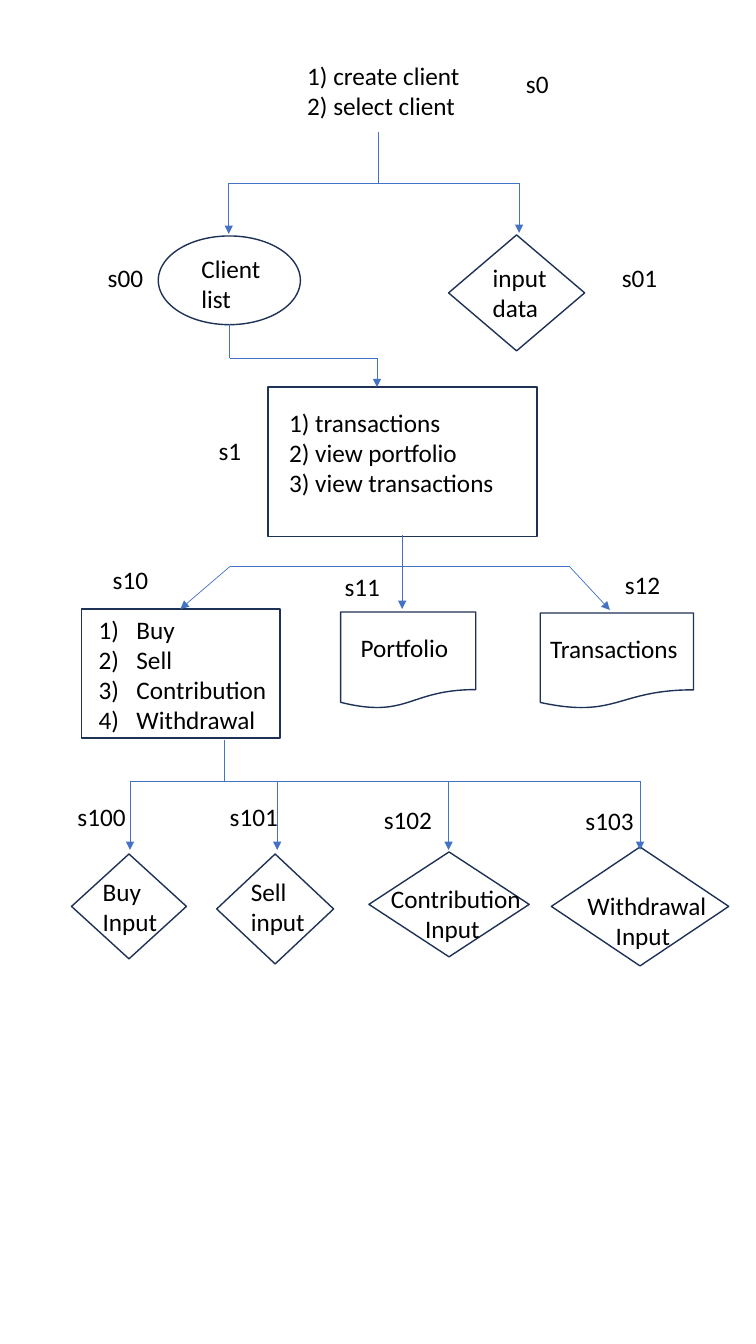
from dataclasses import dataclass

from lxml.etree import SubElement
from pptx import Presentation
from pptx.dml.color import RGBColor
from pptx.enum.shapes import MSO_CONNECTOR as Connector, MSO_SHAPE as Preset
from pptx.enum.text import MSO_AUTO_SIZE as AutoSize
from pptx.oxml.ns import qn
from pptx.slide import Slide
from pptx.util import Inches, Pt

COLUMNS, ROWS = 75, 133.3
CELL = Inches(0.1)
LIST_INDENT = 3.75


@dataclass(frozen=True)
class Theme:
    font: str = "Calibri"
    size: Pt = Pt(18)
    ink: RGBColor = RGBColor(0x00, 0x00, 0x00)
    paper: RGBColor = RGBColor(0xFF, 0xFF, 0xFF)
    outline: RGBColor = RGBColor(0x1E, 0x32, 0x56)
    arrow: RGBColor = RGBColor(0x44, 0x72, 0xC4)
    outline_width: Pt = Pt(1)
    arrow_width: Pt = Pt(0.5)


@dataclass(frozen=True)
class Node:
    preset: Preset
    column: float
    row: float
    width: float
    height: float


@dataclass(frozen=True)
class Caption:
    text: str
    column: float
    row: float
    width: float
    numbered: bool = False
    last_indent: float = 0


@dataclass(frozen=True)
class StateLabel:
    text: str
    column: float
    row: float


@dataclass(frozen=True)
class Drop:
    column: float
    tip_column: float
    tip_row: float


@dataclass(frozen=True)
class Fan:
    stem_column: float
    stem_row: float
    bus_row: float
    drops: tuple[Drop, ...]


THEME = Theme()

NODES = (
    Node(Preset.OVAL, 15.7, 23.4, 14.1, 8.8),
    Node(Preset.FLOWCHART_DECISION, 44.5, 23.3, 13.5, 11.5),
    Node(Preset.RECTANGLE, 26.6, 38.4, 26.7, 14.8),
    Node(Preset.RECTANGLE, 8.1, 60.4, 19.7, 12.8),
    Node(Preset.FLOWCHART_DOCUMENT, 33.8, 60.7, 13.4, 9.6),
    Node(Preset.FLOWCHART_DOCUMENT, 53.6, 60.8, 15.2, 9.5),
    Node(Preset.FLOWCHART_DECISION, 7.1, 84.7, 11.4, 10.4),
    Node(Preset.FLOWCHART_DECISION, 21.5, 84.7, 11.6, 10.9),
    Node(Preset.FLOWCHART_DECISION, 36.6, 84.5, 15.9, 10.4),
    Node(Preset.FLOWCHART_DECISION, 54.7, 84, 17.6, 11.8),
)

FANS = (
    Fan(37.5, 13.1, 18.2, (Drop(22.7, 22.7, 23.2), Drop(51.5, 51.5, 23.1))),
    Fan(22.8, 32.1, 35.5, (Drop(37.4, 37.4, 38.4),)),
    Fan(39.9, 53.1, 56.2, (
        Drop(22.8, 17.9, 60.4),
        Drop(39.9, 39.9, 60.4),
        Drop(56.5, 60.5, 60.5),
    )),
    Fan(22.3, 73.4, 77.5, tuple(
        Drop(column, column, 84.3) for column in (12.9, 27.5, 44.5, 63.5)
    )),
)

CAPTIONS = (
    Caption("1) create client\n2) select client", 29.5, 5.5, 17.7),
    Caption("Client\nlist", 19, 24.6, 12.4),
    Caption("input\ndata", 47.9, 25.5, 8.4),
    Caption("1) transactions\n2) view portfolio\n3) view transactions",
            27.7, 39.9, 28.9),
    Caption("Buy\nSell\nContribution\nWithdrawal", 8.8, 60.4, 23.5, numbered=True),
    Caption("Portfolio", 34.8, 62.2, 11.4),
    Caption("Transactions", 53.6, 62.3, 16.4),
    Caption("Buy\nInput", 9.2, 86.4, 8.8),
    Caption("Sell\ninput", 23.9, 86.4, 10),
    Caption("Contribution\nInput", 37.8, 87.1, 15.3, last_indent=3.4),
    Caption("Withdrawal\nInput", 57.3, 87.8, 13.9, last_indent=2.8),
)

STATE_LABELS = (
    StateLabel("s0", 51.2, 6.3),
    StateLabel("s00", 9.7, 25.5),
    StateLabel("s01", 60.7, 25.5),
    StateLabel("s1", 20.7, 42.7),
    StateLabel("s10", 10.2, 55.5),
    StateLabel("s11", 33.2, 56.2),
    StateLabel("s12", 61, 56),
    StateLabel("s100", 6.7, 79),
    StateLabel("s101", 21.8, 79),
    StateLabel("s102", 37.1, 79.3),
    StateLabel("s103", 57.1, 79.4),
)


def cells(count: float) -> int:
    return round(count * CELL)


def draw_node(page: Slide, node: Node) -> None:
    shape = page.shapes.add_shape(
        node.preset, cells(node.column), cells(node.row),
        cells(node.width), cells(node.height),
    )
    shape.shadow.inherit = False
    if node.preset == Preset.RECTANGLE:
        shape.fill.solid()
        shape.fill.fore_color.rgb = THEME.paper
    else:
        shape.fill.background()
    shape.line.color.rgb = THEME.outline
    shape.line.width = THEME.outline_width


def draw_line(page: Slide, start: tuple[float, float], end: tuple[float, float],
              arrow: bool = False) -> None:
    line = page.shapes.add_connector(
        Connector.STRAIGHT, *(cells(place) for place in (*start, *end))
    )
    line.line.color.rgb = THEME.arrow
    line.line.width = THEME.arrow_width
    if arrow:
        SubElement(line.line._get_or_add_ln(), qn("a:tailEnd"), type="triangle")
    SubElement(line._element.spPr, qn("a:effectLst"))


def draw_fan(page: Slide, fan: Fan) -> None:
    columns = [fan.stem_column, *(drop.column for drop in fan.drops)]
    draw_line(page, (fan.stem_column, fan.stem_row), (fan.stem_column, fan.bus_row))
    draw_line(page, (min(columns), fan.bus_row), (max(columns), fan.bus_row))
    for drop in fan.drops:
        draw_line(page, (drop.column, fan.bus_row),
                  (drop.tip_column, drop.tip_row), arrow=True)


def draw_caption(page: Slide, caption: Caption) -> None:
    height = 1 + 3.03 * len(caption.text.splitlines())
    box = page.shapes.add_textbox(
        cells(caption.column), cells(caption.row), cells(caption.width), cells(height)
    )
    frame = box.text_frame
    frame.word_wrap = True
    frame.auto_size = AutoSize.SHAPE_TO_FIT_TEXT
    frame.text = caption.text
    for para in frame.paragraphs:
        for span in para.runs:
            span.font.name = THEME.font
            span.font.size = THEME.size
            span.font.color.rgb = THEME.ink
        if caption.numbered:
            properties = para._p.get_or_add_pPr()
            properties.set("marL", str(cells(LIST_INDENT)))
            properties.set("indent", str(-cells(LIST_INDENT)))
            SubElement(properties, qn("a:buFont"), typeface="+mj-lt")
            SubElement(properties, qn("a:buAutoNum"), type="arabicParenR")
    if caption.last_indent:
        last = frame.paragraphs[-1]._p.get_or_add_pPr()
        last.set("marL", str(cells(caption.last_indent)))


def draw_state_label(page: Slide, label: StateLabel) -> None:
    width = 1.9 + 1.25 * len(label.text)
    draw_caption(page, Caption(label.text, label.column, label.row, width))


def main() -> None:
    deck = Presentation()
    deck.slide_width = cells(COLUMNS)
    deck.slide_height = cells(ROWS)
    page = deck.slides.add_slide(deck.slide_layouts[6])
    for node in NODES:
        draw_node(page, node)
    for fan in FANS:
        draw_fan(page, fan)
    for caption in CAPTIONS:
        draw_caption(page, caption)
    for label in STATE_LABELS:
        draw_state_label(page, label)
    deck.save("out.pptx")


if __name__ == "__main__":
    main()
